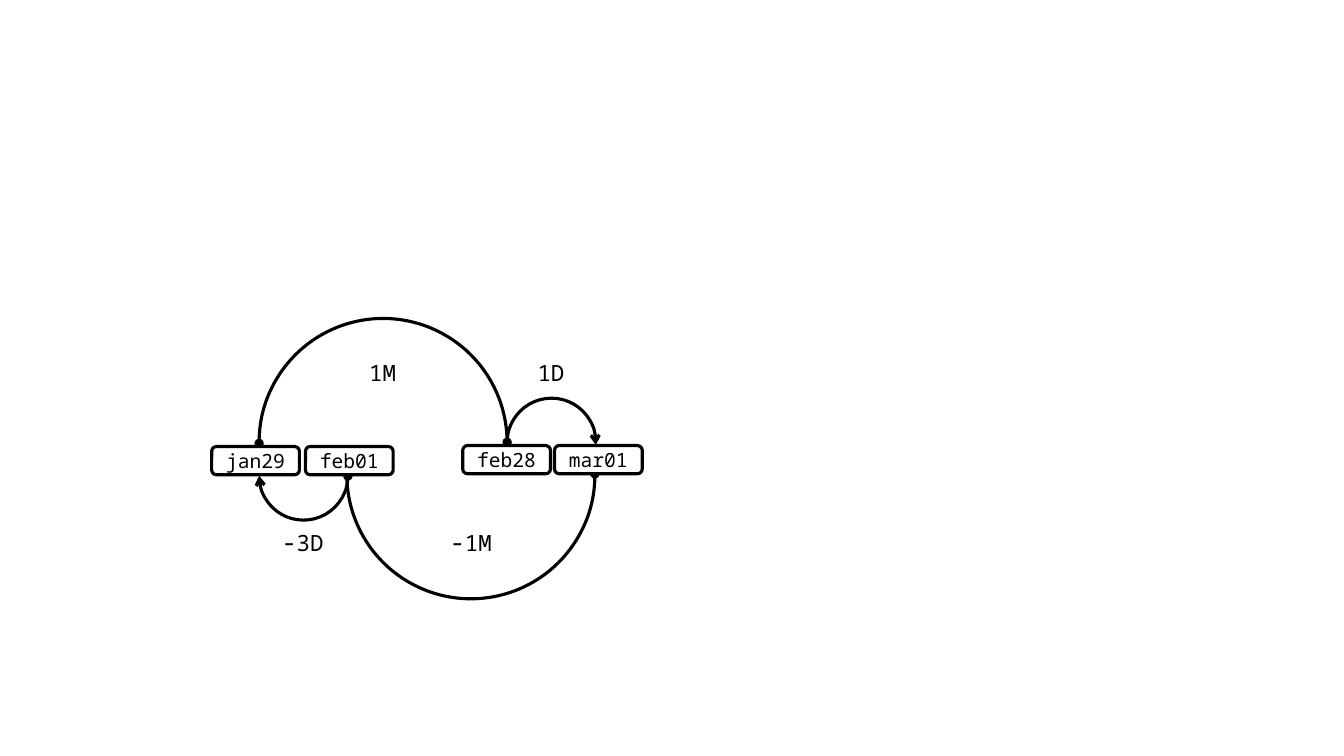
from lxml import etree
from pptx import Presentation
from pptx.dml.color import RGBColor
from pptx.enum import shapes, text
from pptx.oxml import ns
from pptx.util import Inches, Pt

COLOURS = {"ink": "000000", "paper": "FFFFFF"}
INK = RGBColor.from_string(COLOURS["ink"])
PAPER = RGBColor.from_string(COLOURS["paper"])
FONT = "Noto Sans Mono"


def add_outlined(parent, preset, left, top, width, height):
    outlined = parent.shapes.add_shape(
        preset, Inches(left), Inches(top), Inches(width), Inches(height))
    outlined.shadow.inherit = False
    outlined.line.color.rgb = INK
    outlined.line.width = Pt(2.25)
    return outlined


def write(frame, runs):
    paragraph = frame.paragraphs[0]
    paragraph.alignment = text.PP_ALIGN.CENTER
    for wording, size in runs:
        run = paragraph.add_run()
        run.text = wording
        run.font.name = FONT
        run.font.size = Pt(size)
        run.font.color.rgb = INK


deck = Presentation()
deck.slide_width, deck.slide_height = Inches(13.33), Inches(7.5)
slide = deck.slides.add_slide(deck.slide_layouts[6])

MONTH, DAY = 2.46, 0.88
forward = [
    (2.57, 3.16, MONTH, 0, 107.73, 0, False),
    (5.03, 3.95, DAY, 0, 108.19, 1.79, True),
]
backward = [
    (2.57, 4.28, DAY, 180, 108.19, 0, True),
    (3.44, 3.48, MONTH, 180, 107.73, 0, False),
]
forward_labels = [
    (3.56, 3.51, 0.47, 0.37, [("1M", 16)]),
    (5.23, 3.51, 0.47, 0.37, [("1D", 16)]),
]
backward_labels = [
    (4.36, 5.17, 0.62, 0.4, [("-", 18), ("1M", 16)]),
    (2.69, 5.17, 0.62, 0.4, [("-", 18), ("3D", 16)]),
]

for arcs, labels in [(forward, forward_labels), (backward, backward_labels)]:
    jumps = slide.shapes.add_group_shape()
    for left, top, diameter, turn, start, end, arrow in arcs:
        arc = add_outlined(jumps, shapes.MSO_SHAPE.ARC, left, top, diameter, diameter)
        arc.fill.background()
        arc.rotation = turn
        arc.adjustments[0] = start
        arc.adjustments[1] = end
        outline = arc.line._get_or_add_ln()
        etree.SubElement(outline, ns.qn("a:headEnd"), type="oval")
        if arrow:
            etree.SubElement(outline, ns.qn("a:tailEnd"), type="arrow")
    for left, top, width, height, runs in labels:
        label = jumps.shapes.add_textbox(
            Inches(left), Inches(top), Inches(width), Inches(height))
        label.text_frame.word_wrap = False
        label.text_frame.auto_size = text.MSO_AUTO_SIZE.SHAPE_TO_FIT_TEXT
        write(label.text_frame, runs)

dates = [("mar01", 5.5, 4.42), ("feb28", 4.59, 4.42),
         ("feb01", 3.03, 4.43), ("jan29", 2.1, 4.43)]
for day, left, top in dates:
    date = add_outlined(slide, shapes.MSO_SHAPE.ROUNDED_RECTANGLE, left, top, 0.87, 0.28)
    date.fill.solid()
    date.fill.fore_color.rgb = PAPER
    date.text_frame.vertical_anchor = text.MSO_ANCHOR.MIDDLE
    write(date.text_frame, [(day, 14)])

deck.save("out.pptx")
